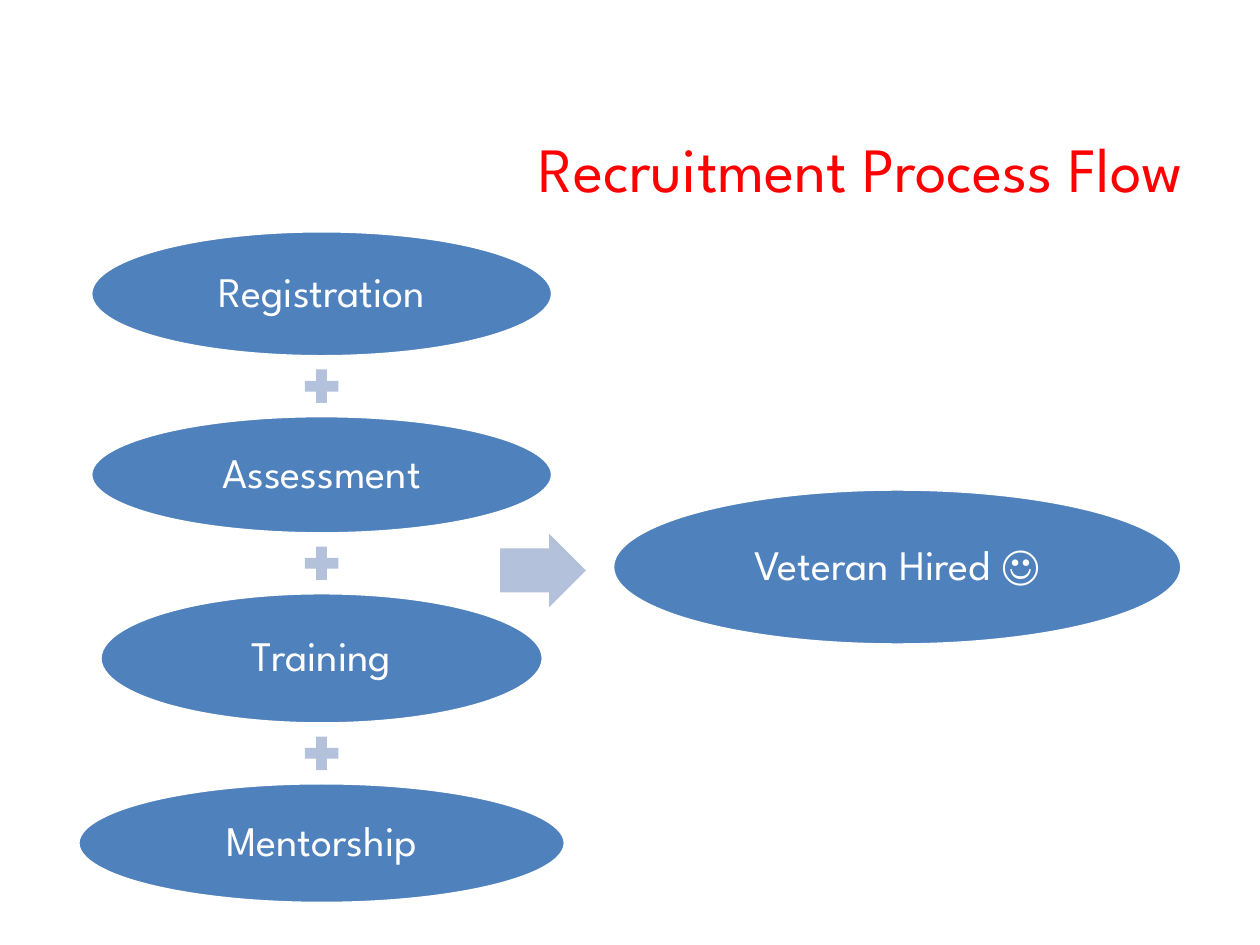
from dataclasses import dataclass

from pptx import Presentation
from pptx.dml.color import RGBColor
from pptx.enum.shapes import MSO_SHAPE
from pptx.enum.text import MSO_ANCHOR, PP_ALIGN
from pptx.shapes.autoshape import Shape
from pptx.slide import Slide
from pptx.util import Pt

COLORS = {"title": "FF0000", "step": "4F81BD", "sign": "B3C1DB", "white": "FFFFFF"}
FONT = "League Spartan"
COLUMN_CENTER = 183.8
FIRST_TOP = 131.9
STEP_GAP = 33.6
PLUS_SIZE = 26


@dataclass
class Step:
    label: str
    width: float
    height: float


STEPS = [
    Step("Registration", 264, 72),
    Step("Assessment", 264, 67.6),
    Step("Training", 253.4, 75),
    Step("Mentorship", 278.6, 69),
]
RESULT = Step("Veteran Hired ☺", 325.4, 89.2)


def color(name: str) -> RGBColor:
    return RGBColor.from_string(COLORS[name])


def format_text(shape: Shape, text: str, size: float, color_name: str, alignment: PP_ALIGN) -> None:
    text_frame = shape.text_frame
    text_frame.text = text
    text_frame.word_wrap = True
    text_frame.vertical_anchor = MSO_ANCHOR.MIDDLE
    paragraph = text_frame.paragraphs[0]
    paragraph.alignment = alignment
    font = paragraph.runs[0].font
    font.name, font.size = FONT, Pt(size)
    font.color.rgb = color(color_name)


def add_filled_shape(slide: Slide, kind: MSO_SHAPE, left: float, top: float,
                     width: float, height: float, color_name: str) -> Shape:
    shape = slide.shapes.add_shape(kind, Pt(left), Pt(top), Pt(width), Pt(height))
    shape.shadow.inherit = False
    shape.fill.solid()
    shape.fill.fore_color.rgb = color(color_name)
    shape.line.fill.background()
    return shape


def add_step(slide: Slide, step: Step, left: float, top: float) -> None:
    ellipse = add_filled_shape(slide, MSO_SHAPE.OVAL, left, top, step.width, step.height, "step")
    ellipse.line.color.rgb = color("white")
    ellipse.line.width = Pt(2)
    format_text(ellipse, step.label, 24, "white", PP_ALIGN.CENTER)
    text_frame = ellipse.text_frame
    text_frame.margin_left = text_frame.margin_right = Pt(2.4)
    text_frame.margin_top = text_frame.margin_bottom = Pt(2.4)
    text_frame.paragraphs[0].line_spacing = 0.9


def add_plus(slide: Slide, gap_top: float) -> None:
    add_filled_shape(slide, MSO_SHAPE.MATH_PLUS, COLUMN_CENTER - PLUS_SIZE / 2,
                     gap_top + (STEP_GAP - PLUS_SIZE) / 2, PLUS_SIZE, PLUS_SIZE, "sign")


def main() -> None:
    presentation = Presentation()
    presentation.slide_width, presentation.slide_height = Pt(720), Pt(540)
    slide = presentation.slides.add_slide(presentation.slide_layouts[5])

    # Title
    title = slide.shapes.title
    title.left, title.top, title.width, title.height = Pt(35.3), Pt(65.5), Pt(648), Pt(60.5)
    format_text(title, "Recruitment Process Flow", 36, "title", PP_ALIGN.RIGHT)

    # Column of steps, joined by plus signs
    top = FIRST_TOP
    for index, step in enumerate(STEPS):
        if index:
            add_plus(slide, top - STEP_GAP)
        add_step(slide, step, COLUMN_CENTER - step.width / 2, top)
        top += step.height + STEP_GAP

    # Arrow and result
    arrow = add_filled_shape(slide, MSO_SHAPE.RIGHT_ARROW, 285.8, 305, 49, 42, "sign")
    arrow.adjustments[0], arrow.adjustments[1] = 0.6, 0.5
    add_step(slide, RESULT, 350, 279.4)

    presentation.save("out.pptx")


if __name__ == "__main__":
    main()
